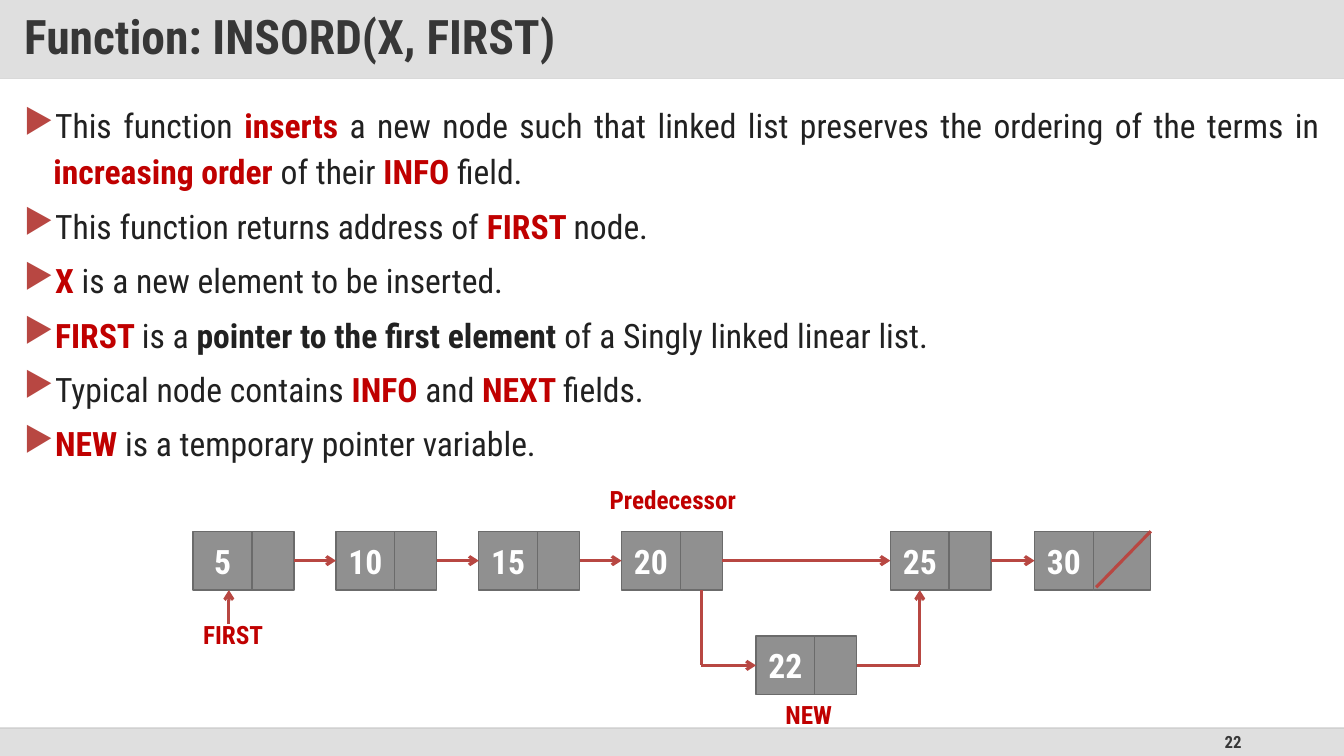
from dataclasses import dataclass

from lxml.etree import SubElement
from pptx import Presentation
from pptx.dml.color import RGBColor
from pptx.enum.shapes import MSO_CONNECTOR, MSO_SHAPE
from pptx.enum.text import MSO_ANCHOR, PP_ALIGN
from pptx.oxml.ns import qn
from pptx.shapes.autoshape import Shape
from pptx.shapes.connector import Connector
from pptx.slide import Slide
from pptx.text.text import _Paragraph as Paragraph
from pptx.util import Pt

FONT = "Roboto Condensed"
WIDTH, HEIGHT = 960, 540
HEADER, FOOTER = 56, 520
DARK, TEXT, RED, ARROW = "373737", "212121", "C00000", "B84742"
CELL, NEXT_WIDTH = 42, 30
ROW, NEW_ROW = 379.5, 454.3
PITCH = 102


@dataclass(frozen=True)
class Span:
    text: str
    color: str = TEXT
    bold: bool = False


@dataclass(frozen=True)
class Node:
    info: str
    left: float
    top: float = ROW
    next_width: float = NEXT_WIDTH


@dataclass(frozen=True)
class Label:
    text: str
    left: float
    top: float
    width: float
    align: PP_ALIGN = PP_ALIGN.LEFT


@dataclass(frozen=True)
class DrawnNode:
    value: Shape
    link: Shape


def key(text: str) -> Span:
    return Span(text, RED, True)


BULLETS = [
    [Span("This function "), key("inserts "),
     Span("a new node such that linked list preserves the ordering of the terms in "),
     key("increasing order "), Span("of their "), key("INFO "), Span("field.")],
    [Span("This function returns address of "), key("FIRST "), Span("node.")],
    [key("X "), Span("is a new element to be inserted.")],
    [key("FIRST "), Span("is a "), Span("pointer to the first element", TEXT, True),
     Span(" of a Singly linked linear list.")],
    [Span("Typical node contains "), key("INFO "), Span("and "), key("NEXT "),
     Span("fields.")],
    [key("NEW "), Span("is a temporary pointer variable.")],
]
LIST_NODES = [Node(info, 138 + PITCH * index)
              for index, info in enumerate(["5", "10", "15", "20"])]
LIST_NODES += [Node("25", 636), Node("30", 739, next_width=41)]
NEW_NODE = Node("22", 540, NEW_ROW)
LABELS = [
    Label("FIRST", 138, 439, 58),
    Label("Predecessor", 428.4, 342.5, 106),
    Label("NEW", 553.7, 496, 48, PP_ALIGN.CENTER),
]


def rgb(color: str) -> RGBColor:
    return RGBColor.from_string(color)


def set_alpha(properties, percent: int) -> None:
    color = next(properties.iter(qn("a:srgbClr")))
    SubElement(color, qn("a:alpha"), val=str(percent * 1000))


def add_run(paragraph: Paragraph, span: Span, size: float) -> None:
    run = paragraph.add_run()
    run.text = span.text
    run.font.name = FONT
    run.font.size = Pt(size)
    run.font.bold = span.bold
    run.font.color.rgb = rgb(span.color)


def add_box(slide: Slide, left: float, top: float, width: float, height: float,
            fill: str, line: str | None = None) -> Shape:
    shape = slide.shapes.add_shape(MSO_SHAPE.RECTANGLE, Pt(left), Pt(top),
                                   Pt(width), Pt(height))
    shape.shadow.inherit = False
    shape.fill.solid()
    shape.fill.fore_color.rgb = rgb(fill)
    if line:
        shape.line.color.rgb = rgb(line)
        shape.line.width = Pt(1)
    else:
        shape.line.fill.background()
    return shape


def add_text(slide: Slide, left: float, top: float, width: float,
             height: float, wrap: bool = True) -> Shape:
    box = slide.shapes.add_textbox(Pt(left), Pt(top), Pt(width), Pt(height))
    box.text_frame.word_wrap = wrap
    return box


def add_line(slide: Slide, start: tuple[float, float], end: tuple[float, float],
             color: str = ARROW, width: float = 2.25, arrow: bool = False) -> Connector:
    line = slide.shapes.add_connector(MSO_CONNECTOR.STRAIGHT, Pt(start[0]), Pt(start[1]),
                                      Pt(end[0]), Pt(end[1]))
    line.line.color.rgb = rgb(color)
    line.line.width = Pt(width)
    properties = line._element.spPr
    if arrow:
        SubElement(properties.find(qn("a:ln")), qn("a:tailEnd"), type="arrow")
    SubElement(properties, qn("a:effectLst"))
    return line


def add_node(slide: Slide, node: Node) -> DrawnNode:
    value = add_box(slide, node.left, node.top, CELL, CELL, "909090", "6B6B6B")
    link = add_box(slide, node.left + CELL, node.top, node.next_width, CELL,
                   "909090", "6B6B6B")
    value.text_frame.vertical_anchor = MSO_ANCHOR.MIDDLE
    paragraph = value.text_frame.paragraphs[0]
    paragraph.alignment = PP_ALIGN.CENTER
    add_run(paragraph, Span(node.info, "FFFFFF", True), 24)
    return DrawnNode(value, link)


def add_title(slide: Slide) -> None:
    title = slide.shapes.title
    title.left, title.top, title.width, title.height = Pt(0), Pt(0), Pt(WIDTH), Pt(HEADER)
    title.fill.solid()
    title.fill.fore_color.rgb = rgb("C0C0C0")
    set_alpha(title._element.spPr, 50)
    frame = title.text_frame
    frame.vertical_anchor = MSO_ANCHOR.MIDDLE
    frame.margin_left = frame.margin_right = Pt(17.3)
    frame.margin_top = frame.margin_bottom = Pt(8.6)
    paragraph = frame.paragraphs[0]
    paragraph.alignment = PP_ALIGN.LEFT
    paragraph.line_spacing = 0.9
    add_run(paragraph, Span("Function: INSORD(X, FIRST)", DARK, True), 34)


def add_frame(slide: Slide) -> None:
    add_box(slide, 0, FOOTER, WIDTH, HEIGHT - FOOTER, "DFDFDF")
    add_line(slide, (0, HEADER), (WIDTH, HEADER), "D9D9D9", 1)
    footer_line = add_line(slide, (0, FOOTER), (WIDTH, FOOTER), "BFBFBF", 1)
    set_alpha(footer_line._element.spPr, 70)
    number = add_text(slide, 678, FOOTER, 216, HEIGHT - FOOTER)
    number.text_frame.vertical_anchor = MSO_ANCHOR.MIDDLE
    paragraph = number.text_frame.paragraphs[0]
    paragraph.alignment = PP_ALIGN.RIGHT
    add_run(paragraph, Span("22", DARK, True), 12)


def add_bullets(slide: Slide) -> None:
    frame = add_text(slide, 10, 67.7, 940, 270).text_frame
    for index, spans in enumerate(BULLETS):
        paragraph = frame.add_paragraph() if index else frame.paragraphs[0]
        properties = paragraph._p.get_or_add_pPr()
        properties.set("marL", str(Pt(21)))
        properties.set("indent", str(Pt(-21)))
        bullet_color = SubElement(properties, qn("a:buClr"))
        SubElement(bullet_color, qn("a:srgbClr"), val=ARROW)
        SubElement(properties, qn("a:buChar"), char="▶")
        paragraph.alignment = PP_ALIGN.JUSTIFY
        paragraph.line_spacing = 1.14
        paragraph.space_before = Pt(6 if index else 0)
        for span in spans:
            add_run(paragraph, span, 24)


def add_linked_list(slide: Slide) -> None:
    drawn = [add_node(slide, node) for node in LIST_NODES]
    new = add_node(slide, NEW_NODE)
    for source, target in zip(drawn, drawn[1:]):
        arrow = add_line(slide, (0, 0), (0, 0), arrow=True)
        arrow.begin_connect(source.link, 3)
        arrow.end_connect(target.value, 1)

    predecessor, successor, last = LIST_NODES[3:]
    bottom, new_middle = ROW + CELL, NEW_ROW + CELL / 2
    down = predecessor.left + CELL + NEXT_WIDTH / 2
    up = successor.left + CELL / 2
    new_right = NEW_NODE.left + CELL + NEXT_WIDTH
    add_line(slide, (down, bottom), (down, new_middle)).begin_connect(drawn[3].link, 2)
    add_line(slide, (down, new_middle), (NEW_NODE.left, new_middle),
             arrow=True).end_connect(new.value, 1)
    add_line(slide, (new_right, new_middle), (up, new_middle)).begin_connect(new.link, 3)
    add_line(slide, (up, new_middle), (up, bottom),
             arrow=True).end_connect(drawn[4].value, 2)

    add_line(slide, (last.left + CELL + 2, bottom - 2),
             (last.left + CELL + last.next_width, ROW))
    add_line(slide, (163.5, 445.7), (163.5, bottom), arrow=True)
    for label in LABELS:
        box = add_text(slide, label.left, label.top, label.width, 29, wrap=False)
        paragraph = box.text_frame.paragraphs[0]
        paragraph.alignment = label.align
        add_run(paragraph, key(label.text), 18)


def main() -> None:
    presentation = Presentation()
    presentation.slide_width, presentation.slide_height = Pt(WIDTH), Pt(HEIGHT)
    slide = presentation.slides.add_slide(presentation.slide_layouts[5])
    add_title(slide)
    add_frame(slide)
    add_bullets(slide)
    add_linked_list(slide)
    presentation.save("out.pptx")


if __name__ == "__main__":
    main()
